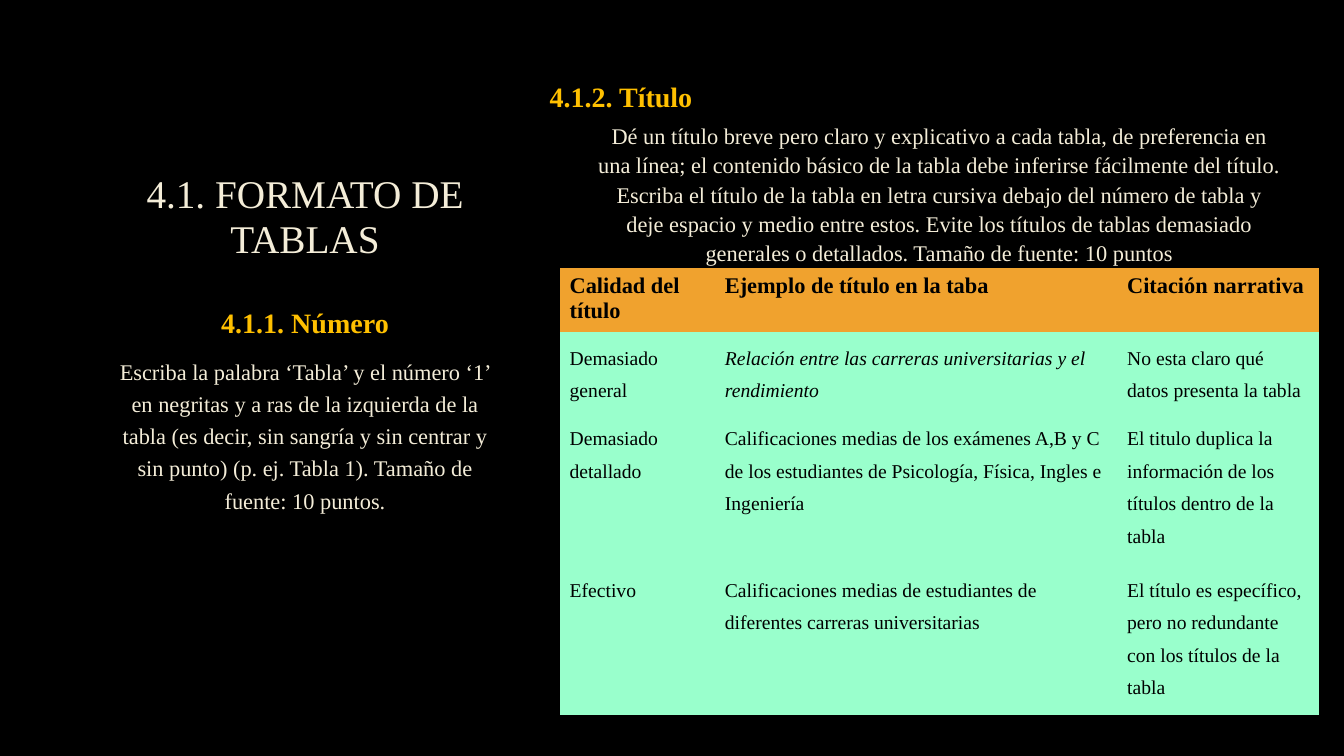
from pptx import Presentation
from pptx.dml.color import RGBColor
from pptx.enum import text
from pptx.util import Inches, Pt

BLACK = RGBColor(0x00, 0x00, 0x00)
CREAM = RGBColor(0xF4, 0xED, 0xD8)
GOLD = RGBColor(0xFF, 0xC0, 0x00)
ORANGE = RGBColor(0xF0, 0xA2, 0x2E)
MINT = RGBColor(0x99, 0xFF, 0xCC)
FONT = "Times New Roman"
LEFT, CENTER = text.PP_ALIGN.LEFT, text.PP_ALIGN.CENTER
NO_STYLE = "{2D5ABB26-0587-4C30-8999-92F81FD0307C}"


def style(p, size, color, spacing, align=LEFT, bold=False, italic=False):
    p.alignment = align
    p.line_spacing = spacing
    f = p.font
    f.name, f.size, f.bold, f.italic = FONT, Pt(size), bold, italic
    f.color.rgb = color


def add_text(left, top, width, height, paragraphs):
    tf = s.shapes.add_textbox(Inches(left), Inches(top),
                              Inches(width), Inches(height)).text_frame
    tf.word_wrap = True
    for i, (words, size, color, spacing, align, bold) in enumerate(paragraphs):
        p = tf.add_paragraph() if i else tf.paragraphs[0]
        p.text = words
        style(p, size, color, spacing, align, bold)
        p.space_before = Pt(size * 0.2)
        p.space_after = Pt(6)
    return tf


prs = Presentation()
prs.slide_width, prs.slide_height = Inches(13.33), Inches(7.5)
s = prs.slides.add_slide(prs.slide_layouts[5])
s.background.fill.solid()
s.background.fill.fore_color.rgb = BLACK

# Title
title = s.shapes.title
title.left, title.top = Inches(1), Inches(0.67)
title.width, title.height = Inches(4.05), Inches(1.99)
tf = title.text_frame
tf.text = "4.1. FORMATO DE TABLAS"
tf.word_wrap = True
tf.auto_size = text.MSO_AUTO_SIZE.NONE
tf.vertical_anchor = text.MSO_ANCHOR.BOTTOM
style(tf.paragraphs[0], 28, CREAM, 0.97, CENTER)

# Section on the table number
add_text(1, 2.92, 4.05, 3.3, [
    ("4.1.1. Número", 20, GOLD, 1.2, CENTER, True),
    ("Escriba la palabra ‘Tabla’ y el número ‘1’ en negritas y a ras de la "
     "izquierda de la tabla (es decir, sin sangría y sin centrar y sin punto) "
     "(p. ej. Tabla 1). Tamaño de fuente: 10 puntos.",
     16, CREAM, 1.2, CENTER, False),
])

# Section on the table title
heading = add_text(5.31, 0.67, 7.01, 0.56,
                   [("4.1.2. Título", 20, GOLD, 1.2, LEFT, True)])
heading.margin_left = Inches(0.14)
add_text(5.81, 1.14, 7.01, 1.51, [
    ("Dé un título breve pero claro y explicativo a cada tabla, de preferencia "
     "en una línea; el contenido básico de la tabla debe inferirse fácilmente "
     "del título. Escriba el título de la tabla en letra cursiva debajo del "
     "número de tabla y deje espacio y medio entre estos. Evite los títulos de "
     "tablas demasiado generales o detallados. Tamaño de fuente: 10 puntos",
     16, CREAM, 1.09, CENTER, False),
])

# Table of title examples
ROWS = [
    ("Calidad del título", "Ejemplo de título en la taba", "Citación narrativa"),
    ("Demasiado general",
     "Relación entre las carreras universitarias y el rendimiento",
     "No esta claro qué datos presenta la tabla"),
    ("Demasiado detallado",
     "Calificaciones medias de los exámenes A,B y C de los estudiantes de "
     "Psicología, Física, Ingles e Ingeniería",
     "El titulo duplica la información de los títulos dentro de la tabla"),
    ("Efectivo",
     "Calificaciones medias de estudiantes de diferentes carreras universitarias",
     "El título es específico, pero no redundante con los títulos de la tabla"),
]
COL_WIDTHS = [1.54, 3.99, 2]
ROW_HEIGHTS = [0.59, 0.74, 1.39, 1.39]
frame = s.shapes.add_table(len(ROWS), len(COL_WIDTHS), Inches(5.55), Inches(2.66),
                           Inches(sum(COL_WIDTHS)), Inches(sum(ROW_HEIGHTS)))
table = frame.table
table.horz_banding = False
table._tbl.tblPr.find("{*}tableStyleId").text = NO_STYLE
for column, width in zip(table.columns, COL_WIDTHS):
    column.width = Inches(width)
for r, (row, height) in enumerate(zip(ROWS, ROW_HEIGHTS)):
    table.rows[r].height = Inches(height)
    for c, words in enumerate(row):
        cell = table.cell(r, c)
        cell.text = words
        cell.fill.solid()
        cell.fill.fore_color.rgb = MINT if r else ORANGE
        p = cell.text_frame.paragraphs[0]
        if r:
            style(p, 14, BLACK, 1.5, italic=(r, c) == (1, 1))
        else:
            style(p, 16, BLACK, 1.0, bold=True)

prs.save("out.pptx")
